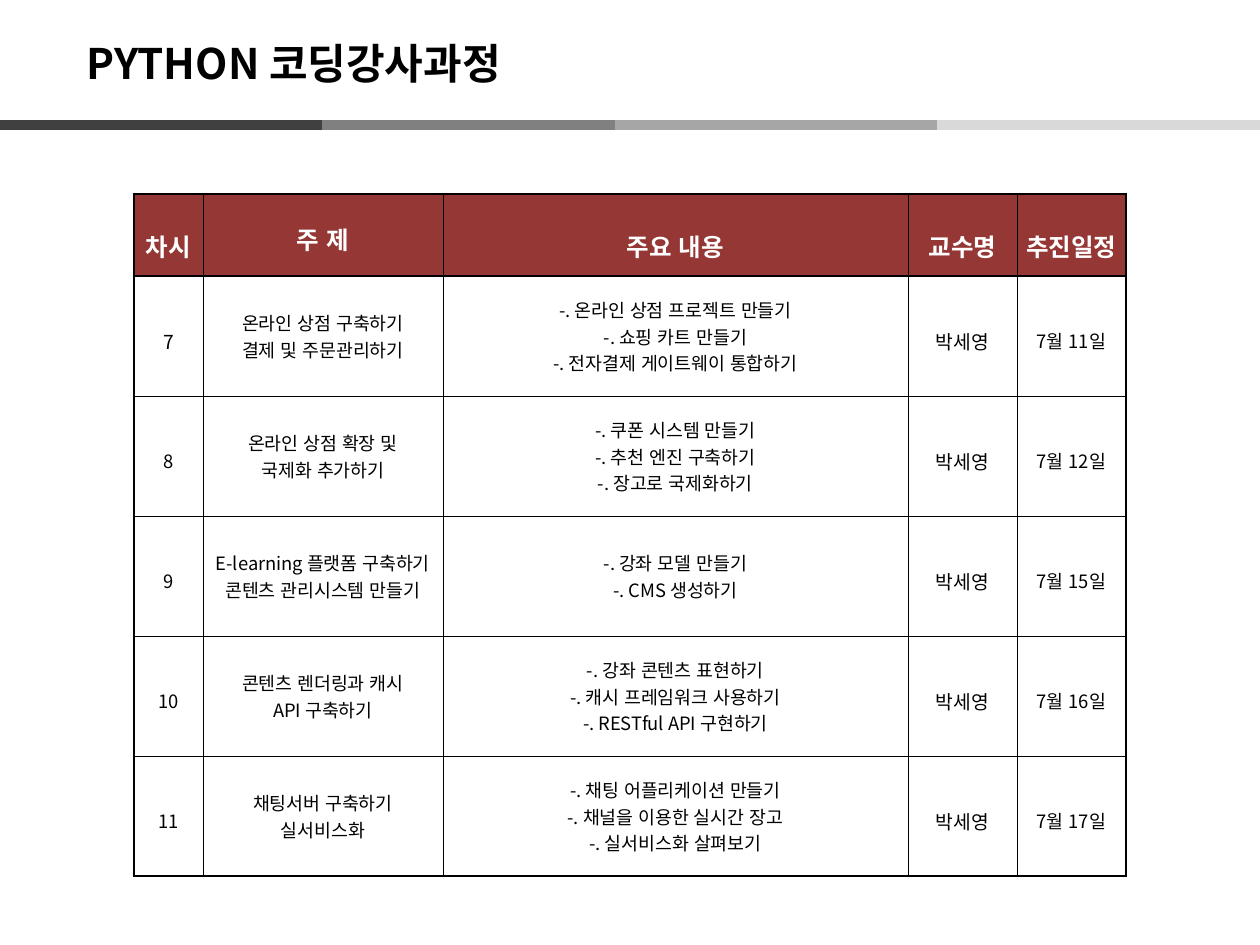
from lxml.etree import SubElement
from pptx import Presentation
from pptx.dml.color import RGBColor
from pptx.enum.lang import MSO_LANGUAGE_ID
from pptx.enum.shapes import MSO_CONNECTOR
from pptx.enum.text import MSO_ANCHOR, MSO_AUTO_SIZE, PP_ALIGN
from pptx.oxml.ns import qn
from pptx.util import Emu, Inches, Pt

PX_PER_INCH = 126
FONT = "Noto Sans CJK KR"

BLACK = RGBColor(0x00, 0x00, 0x00)
WHITE = RGBColor(0xFF, 0xFF, 0xFF)
HEADER_RED = RGBColor(0x95, 0x37, 0x35)
DARK_GRAY = RGBColor(0x40, 0x40, 0x40)
MID_GRAY = RGBColor(0x80, 0x80, 0x80)
SILVER = RGBColor(0xA6, 0xA6, 0xA6)
LIGHT_GRAY = RGBColor(0xD9, 0xD9, 0xD9)

THIN, BOTTOM, THICK = 0.28, 1, 1.7

# Left end, right end and colour of each band piece; the dark one lies on top.
BAND = [
    (292, 615, MID_GRAY),
    (615, 937, SILVER),
    (937, 1260, LIGHT_GRAY),
    (0, 322, DARK_GRAY),
]

COLUMN_WIDTHS = [69, 240, 465, 109, 109]
HEADER_HEIGHT, LESSON_HEIGHT = 82, 120
HEADINGS = ["차시", "주 제", "주요 내용", "교수명", "추진일정"]
HEADING_SPACINGS = [1.6, 1.2, 1.6, 1.6, 1.6]
TEACHER = "박세영"
LESSONS = [
    ("7", ["온라인 상점 구축하기", "결제 및 주문관리하기"],
     ["온라인 상점 프로젝트 만들기", "쇼핑 카트 만들기", "전자결제 게이트웨이 통합하기"],
     "7월 11일"),
    ("8", ["온라인 상점 확장 및", "국제화 추가하기"],
     ["쿠폰 시스템 만들기", "추천 엔진 구축하기", "장고로 국제화하기"],
     "7월 12일"),
    ("9", ["E-learning 플랫폼 구축하기", "콘텐츠 관리시스템 만들기"],
     ["강좌 모델 만들기", "CMS 생성하기"],
     "7월 15일"),
    ("10", ["콘텐츠 렌더링과 캐시", "API 구축하기"],
     ["강좌 콘텐츠 표현하기", "캐시 프레임워크 사용하기", "RESTful API 구현하기"],
     "7월 16일"),
    ("11", ["채팅서버 구축하기", "실서비스화"],
     ["채팅 어플리케이션 만들기", "채널을 이용한 실시간 장고", "실서비스화 살펴보기"],
     "7월 17일"),
]


def px(length):
    return Emu(round(length * 914400 / PX_PER_INCH))


def add_run(para, text, size, color, bold=False):
    span = para.add_run()
    span.text = text
    font = span.font
    font.size = Pt(size)
    font.bold = bold
    font.color.rgb = color
    font.name = FONT
    font.language_id = MSO_LANGUAGE_ID.KOREAN
    SubElement(span._r.get_or_add_rPr(), qn("a:ea"), typeface=FONT)


def add_title(page, text):
    title = page.shapes.title
    title.left, title.top, title.width, title.height = px(74), px(25), px(942), px(76)
    frame = title.text_frame
    frame.word_wrap = True
    frame.auto_size = MSO_AUTO_SIZE.NONE
    frame.vertical_anchor = MSO_ANCHOR.MIDDLE
    para = frame.paragraphs[0]
    para.alignment = PP_ALIGN.LEFT
    add_run(para, text, 24, BLACK, bold=True)


def add_band_piece(page, left, right, color):
    line = page.shapes.add_connector(
        MSO_CONNECTOR.STRAIGHT, px(left), px(125), px(right), px(125))
    line.line.color.rgb = color
    line.line.width = Pt(6)
    SubElement(line._element.spPr, qn("a:effectLst"))


def set_borders(cell, left, right, top, bottom):
    """Draw black cell edges of the given widths in points."""
    properties = cell._tc.get_or_add_tcPr()
    edges = {"a:lnL": left, "a:lnR": right, "a:lnT": top, "a:lnB": bottom}
    for tag, width in edges.items():
        edge = SubElement(properties, qn(tag), w=str(Pt(width)))
        fill = SubElement(edge, qn("a:solidFill"))
        SubElement(fill, qn("a:srgbClr"), val=str(BLACK))


def fill_cell(cell, lines, size, spacing=None, color=BLACK, fill=WHITE, bold=False):
    cell.fill.solid()
    cell.fill.fore_color.rgb = fill
    cell.vertical_anchor = MSO_ANCHOR.MIDDLE
    cell.margin_left = cell.margin_right = Inches(0.01)
    cell.margin_top = cell.margin_bottom = Inches(0.01)
    frame = cell.text_frame
    for index, text in enumerate(lines):
        para = frame.add_paragraph() if index else frame.paragraphs[0]
        para.alignment = PP_ALIGN.CENTER
        if spacing:
            para.line_spacing = spacing
        add_run(para, text, size, color, bold)


def border_table(table):
    last_row, last_column = len(table.rows) - 1, len(table.columns) - 1
    for row in range(last_row + 1):
        for column in range(last_column + 1):
            set_borders(
                table.cell(row, column),
                left=THICK if column == 0 else THIN,
                right=THICK if column == last_column else THIN,
                top=THICK if row <= 1 else THIN,
                bottom=THICK if row == 0 else BOTTOM if row == last_row else THIN)


def add_schedule(page):
    heights = [HEADER_HEIGHT] + [LESSON_HEIGHT] * len(LESSONS)
    table = page.shapes.add_table(
        len(heights), len(COLUMN_WIDTHS), px(134), px(194),
        px(sum(COLUMN_WIDTHS)), px(sum(heights))).table
    table.first_row = table.horz_banding = False
    for column, width in zip(table.columns, COLUMN_WIDTHS):
        column.width = px(width)
    for row, height in zip(table.rows, heights):
        row.height = px(height)
    border_table(table)

    for column, (heading, spacing) in enumerate(zip(HEADINGS, HEADING_SPACINGS)):
        fill_cell(table.cell(0, column), [heading], 14, spacing,
                  WHITE, HEADER_RED, bold=True)
    for row, (number, topic, contents, date) in enumerate(LESSONS, start=1):
        items = [f"-. {content}" for content in contents]
        fill_cell(table.cell(row, 0), [number], 11 if row == 1 else 10.5, 1.35)
        fill_cell(table.cell(row, 1), topic, 10.5)
        fill_cell(table.cell(row, 2), items, 10.5)
        fill_cell(table.cell(row, 3), [TEACHER], 11, 1.35)
        fill_cell(table.cell(row, 4), [date], 10.5, 1.35)


def main():
    deck = Presentation()
    deck.slide_width, deck.slide_height = px(1260), px(945)
    page = deck.slides.add_slide(deck.slide_layouts[5])
    for left, right, color in BAND:
        add_band_piece(page, left, right, color)
    add_title(page, "PYTHON 코딩강사과정")
    add_schedule(page)
    deck.save("out.pptx")


if __name__ == "__main__":
    main()
